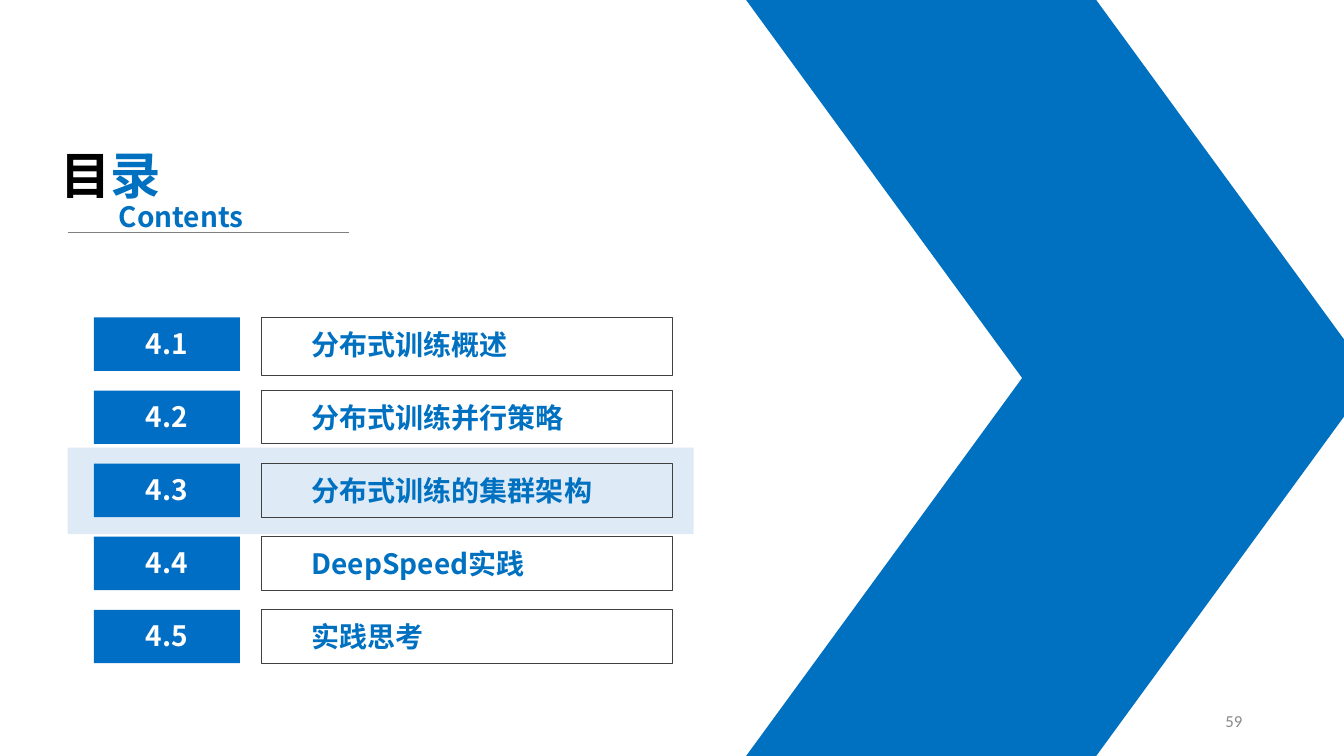
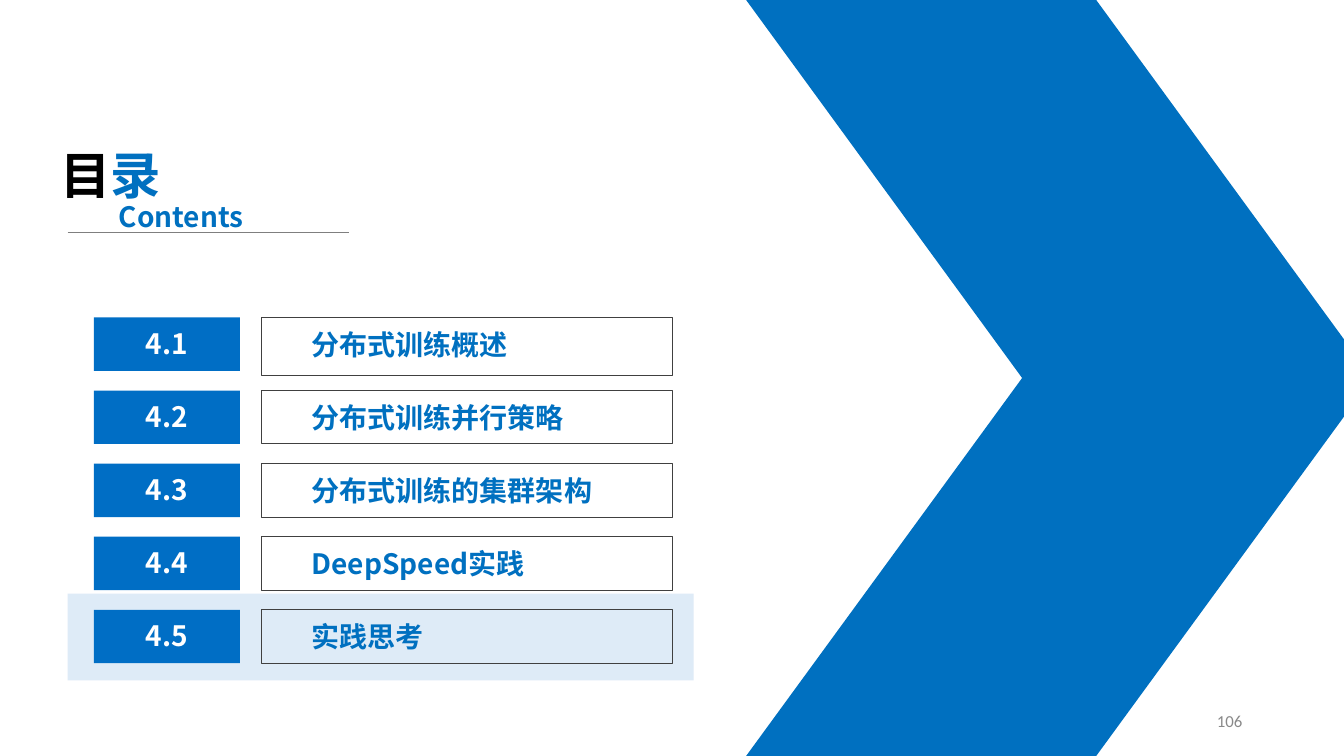
from lxml import etree
from pptx import Presentation
from pptx.dml.color import RGBColor
from pptx.enum.shapes import MSO_CONNECTOR, MSO_SHAPE
from pptx.enum.text import MSO_ANCHOR, PP_ALIGN
from pptx.oxml.ns import qn
from pptx.util import Inches, Pt

RECTANGLE, PARALLELOGRAM = MSO_SHAPE.RECTANGLE, MSO_SHAPE.PARALLELOGRAM
STRAIGHT = MSO_CONNECTOR.STRAIGHT
TOP, MIDDLE = MSO_ANCHOR.TOP, MSO_ANCHOR.MIDDLE
LEFT, CENTER, RIGHT = PP_ALIGN.LEFT, PP_ALIGN.CENTER, PP_ALIGN.RIGHT

BLUE, NUMBER_BLUE, PALE_BLUE = "0070C0", "006EC5", "DEEBF7"
BLACK, WHITE = "000000", "FFFFFF"
BORDER, RULE, FOOTER = "404040", "7F7F7F", "898989"
HEADING_FONT, FOOTER_FONT = "Noto Sans CJK SC", "Calibri"

SECTIONS = ["分布式训练概述", "分布式训练并行策略", "分布式训练的集群架构", "DeepSpeed实践", "实践思考"]
FIRST_ROW, ROW_PAIR, ROW_HEIGHT = 3.15, 1.45, 0.53
ROW_STEP = ROW_PAIR / 2
FIRST_LABEL_HEIGHT = 0.58
HALF_HEIGHT = 3.75
ARROW_SLANT = 0.73


def color(value):
    """Return the colour for a hex string."""
    return RGBColor.from_string(value)


class ContentsDeck:
    """Hold the shared style and the slide being drawn."""

    def __init__(self):
        """Start an empty widescreen presentation."""
        self.presentation = Presentation()
        self.presentation.slide_width = Inches(13.33)
        self.presentation.slide_height = Inches(7.5)
        self.slide = None

    def shape(self, preset, left, top, width, height, fill=None, line=None):
        """Add a flat preset shape."""
        shape = self.slide.shapes.add_shape(
            preset, Inches(left), Inches(top), Inches(width), Inches(height))
        shape.shadow.inherit = False
        if fill:
            shape.fill.solid()
            shape.fill.fore_color.rgb = color(fill)
        else:
            shape.fill.background()
        if line:
            shape.line.color.rgb = color(line)
            shape.line.width = Pt(0.75)
        else:
            shape.line.fill.background()
        return shape

    def set_text(self, shape, runs, size=20, align=LEFT, anchor=TOP,
                 font=HEADING_FONT, bold=True, inset_left=0.1, inset_top=0.05):
        """Put one paragraph of (text, colour) runs into a shape."""
        frame = shape.text_frame
        frame.word_wrap = True
        frame.vertical_anchor = anchor
        frame.margin_left, frame.margin_top = Inches(inset_left), Inches(inset_top)
        paragraph = frame.paragraphs[0]
        paragraph.alignment = align
        paragraph.font.name = font
        paragraph.font.size = Pt(size)
        paragraph.font.bold = bold
        east_asian = etree.SubElement(paragraph._p.pPr.find(qn("a:defRPr")), qn("a:ea"))
        east_asian.set("typeface", font)
        for text, run_color in runs:
            run = paragraph.add_run()
            run.text = text
            run.font.color.rgb = color(run_color)

    def text(self, left, top, width, height, runs, **style):
        """Add a text box."""
        box = self.slide.shapes.add_textbox(
            Inches(left), Inches(top), Inches(width), Inches(height))
        self.set_text(box, runs, **style)

    def rule(self, left, top, right):
        """Add a thin horizontal line."""
        connector = self.slide.shapes.add_connector(
            STRAIGHT, Inches(left), Inches(top), Inches(right), Inches(top))
        connector.line.color.rgb = color(RULE)
        connector.line.width = Pt(0.5)
        etree.SubElement(connector._element.spPr, qn("a:effectLst"))

    def arrow(self):
        """Draw the large arrow as two mirrored halves."""
        for top, mirrored in ((HALF_HEIGHT, False), (0, True)):
            half = self.shape(PARALLELOGRAM, 7.4, top, 6.21, HALF_HEIGHT, BLUE)
            half.adjustments[0] = ARROW_SLANT
            if mirrored:
                half._element.spPr.xfrm.set("flipV", "1")

    def heading(self):
        """Draw the contents heading and its rule."""
        self.text(0.5, 1.38, 1.57, 0.71, [("目", BLACK), ("录", BLUE)], size=36)
        self.rule(0.67, 2.31, 3.46)
        self.text(1.08, 1.93, 1.57, 0.44, [("Contents", BLUE)])

    def section(self, index, title):
        """Draw one numbered section row."""
        top = FIRST_ROW + index * ROW_STEP
        label_height = FIRST_LABEL_HEIGHT if index == 0 else ROW_HEIGHT
        label = self.shape(RECTANGLE, 2.59, top, 4.08, label_height, line=BORDER)
        self.set_text(label, [(title, BLUE)], inset_left=0.5, inset_top=0.1)
        number = self.shape(RECTANGLE, 0.93, top, 1.45, ROW_HEIGHT, NUMBER_BLUE)
        self.set_text(number, [(f"4.{index + 1}", WHITE)], align=CENTER, inset_top=0.09)

    def contents(self, current, page):
        """Add a contents slide with the current section highlighted."""
        self.slide = self.presentation.slides.add_slide(self.presentation.slide_layouts[6])
        band_top = FIRST_ROW + current * ROW_STEP - 0.16
        self.shape(RECTANGLE, 0.67, band_top, 6.21, 0.86, PALE_BLUE)
        self.arrow()
        self.heading()
        for index, title in enumerate(SECTIONS):
            self.section(index, title)
        self.text(9.42, 6.95, 3, 0.4, [(str(page), FOOTER)], size=12, align=RIGHT,
                  anchor=MIDDLE, font=FOOTER_FONT, bold=False)


def main():
    """Build and save the contents slides."""
    deck = ContentsDeck()
    for current, page in ((2, 59), (4, 106)):
        deck.contents(current, page)
    deck.presentation.save("out.pptx")


if __name__ == "__main__":
    main()
